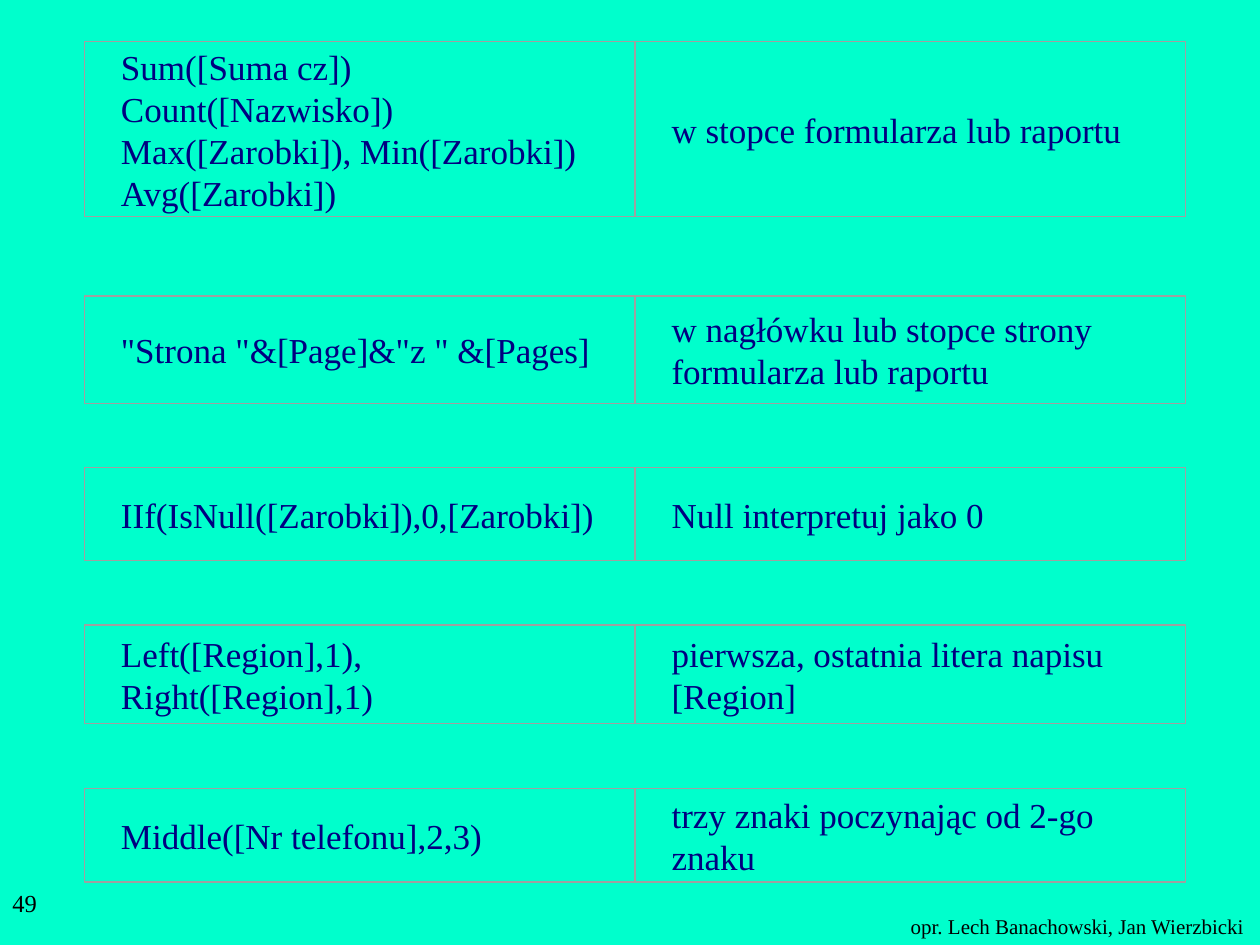
from pptx import Presentation
from pptx.dml.color import RGBColor
from pptx.enum.shapes import MSO_SHAPE
from pptx.enum.text import MSO_ANCHOR, PP_ALIGN
from pptx.util import Inches, Pt

MINT = RGBColor(0x00, 0xFF, 0xCC)
NAVY = RGBColor(0x00, 0x00, 0x80)
GRAY = RGBColor(0xA0, 0xA0, 0xA0)
BLACK = RGBColor(0x00, 0x00, 0x00)
FONT = "Times New Roman"

LEFT, WIDTH = 0.67, 8.74

# top, height, expression, meaning; \v is a line break
ROWS = [
    (0.33, 1.39,
     "Sum([Suma cz])\vCount([Nazwisko])\v"
     "Max([Zarobki]), Min([Zarobki])\vAvg([Zarobki])",
     "w stopce formularza lub raportu"),
    (2.35, 0.85, '"Strona "&[Page]&"z " &[Pages]',
     "w nagłówku lub stopce strony formularza lub raportu"),
    (3.71, 0.74, "IIf(IsNull([Zarobki]),0,[Zarobki])",
     "Null interpretuj jako 0"),
    (4.96, 0.78, "Left([Region],1),\vRight([Region],1)",
     "pierwsza, ostatnia litera napisu [Region]"),
    (6.26, 0.74, "Middle([Nr telefonu],2,3)",
     "trzy znaki poczynając od 2-go znaku"),
]


def set_text(frame, text, size, color):
    frame.text = text
    for para in frame.paragraphs:
        para.alignment = PP_ALIGN.LEFT
        for run in para.runs:
            run.font.name = FONT
            run.font.size = Pt(size)
            run.font.color.rgb = color


def add_cell(slide, left, top, width, height, text):
    cell = slide.shapes.add_shape(
        MSO_SHAPE.RECTANGLE,
        Inches(left), Inches(top), Inches(width), Inches(height))
    cell.shadow.inherit = False
    cell.fill.background()
    cell.line.color.rgb = GRAY
    cell.line.width = Pt(0)
    frame = cell.text_frame
    frame.word_wrap = True
    frame.vertical_anchor = MSO_ANCHOR.MIDDLE
    frame.margin_left = Inches(0.29)
    frame.margin_right = Inches(0.25)
    frame.margin_top = frame.margin_bottom = 0
    set_text(frame, text, 20, NAVY)


def add_row(slide, left, top, width, height, texts):
    """Split the box into equal cells, one for each text."""
    step = width / len(texts)
    for i, text in enumerate(texts):
        add_cell(slide, left + i * step, top, step, height, text)


def add_note(slide, left, top, width, height, text, size, wrap=True):
    box = slide.shapes.add_textbox(
        Inches(left), Inches(top), Inches(width), Inches(height))
    box.text_frame.word_wrap = wrap
    set_text(box.text_frame, text, size, BLACK)


def main():
    deck = Presentation()
    deck.slide_width, deck.slide_height = Inches(10), Inches(7.5)
    slide = deck.slides.add_slide(deck.slide_layouts[6])
    slide.background.fill.solid()
    slide.background.fill.fore_color.rgb = MINT

    add_note(slide, 7.13, 7.2, 2.86, 0.3,
             "opr. Lech Banachowski, Jan Wierzbicki", 12, wrap=False)
    for top, height, *texts in ROWS:
        add_row(slide, LEFT, top, WIDTH, height, texts)
    add_note(slide, 0, 7, 2.08, 0.5, "49", 14)
    deck.save("out.pptx")


if __name__ == "__main__":
    main()
